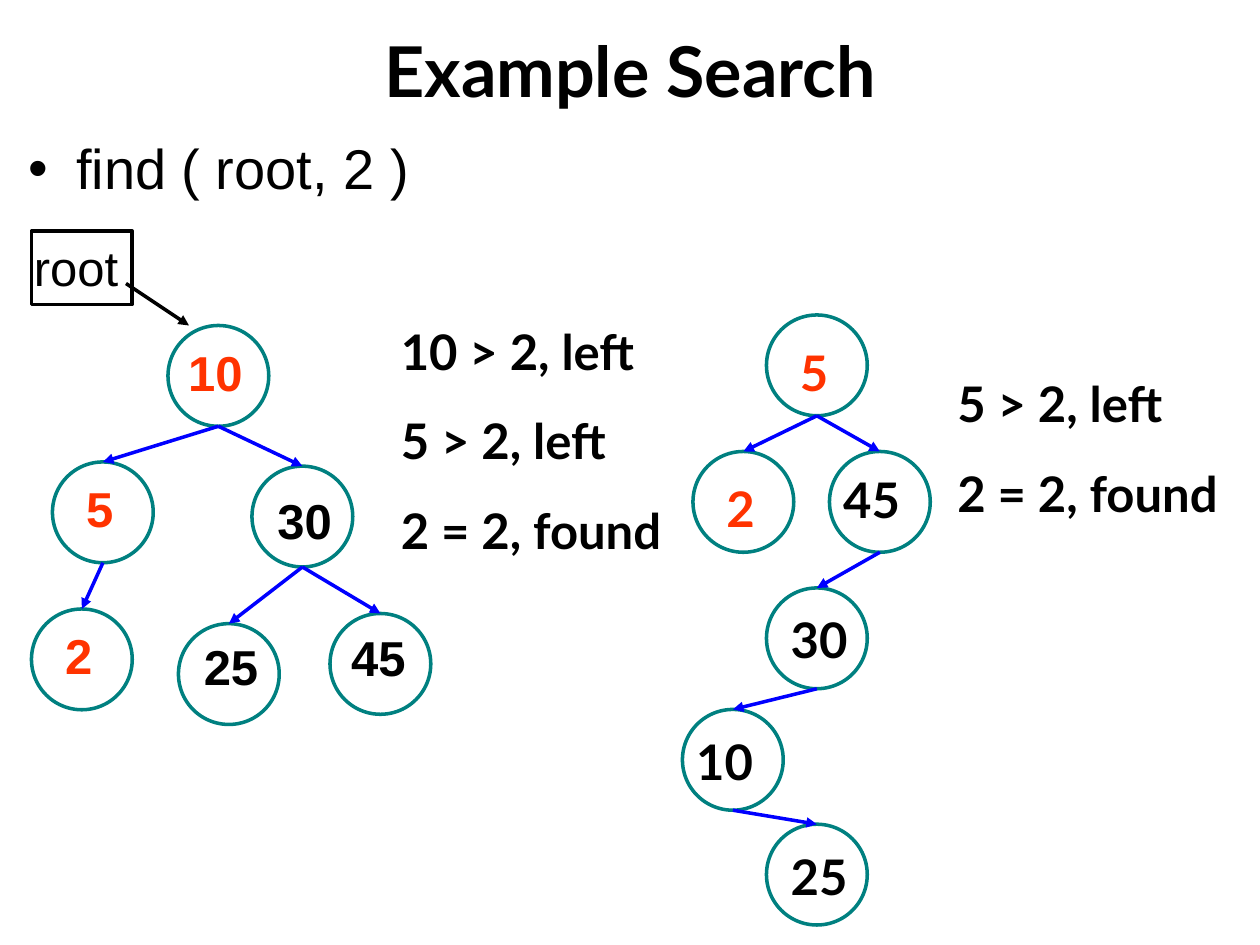
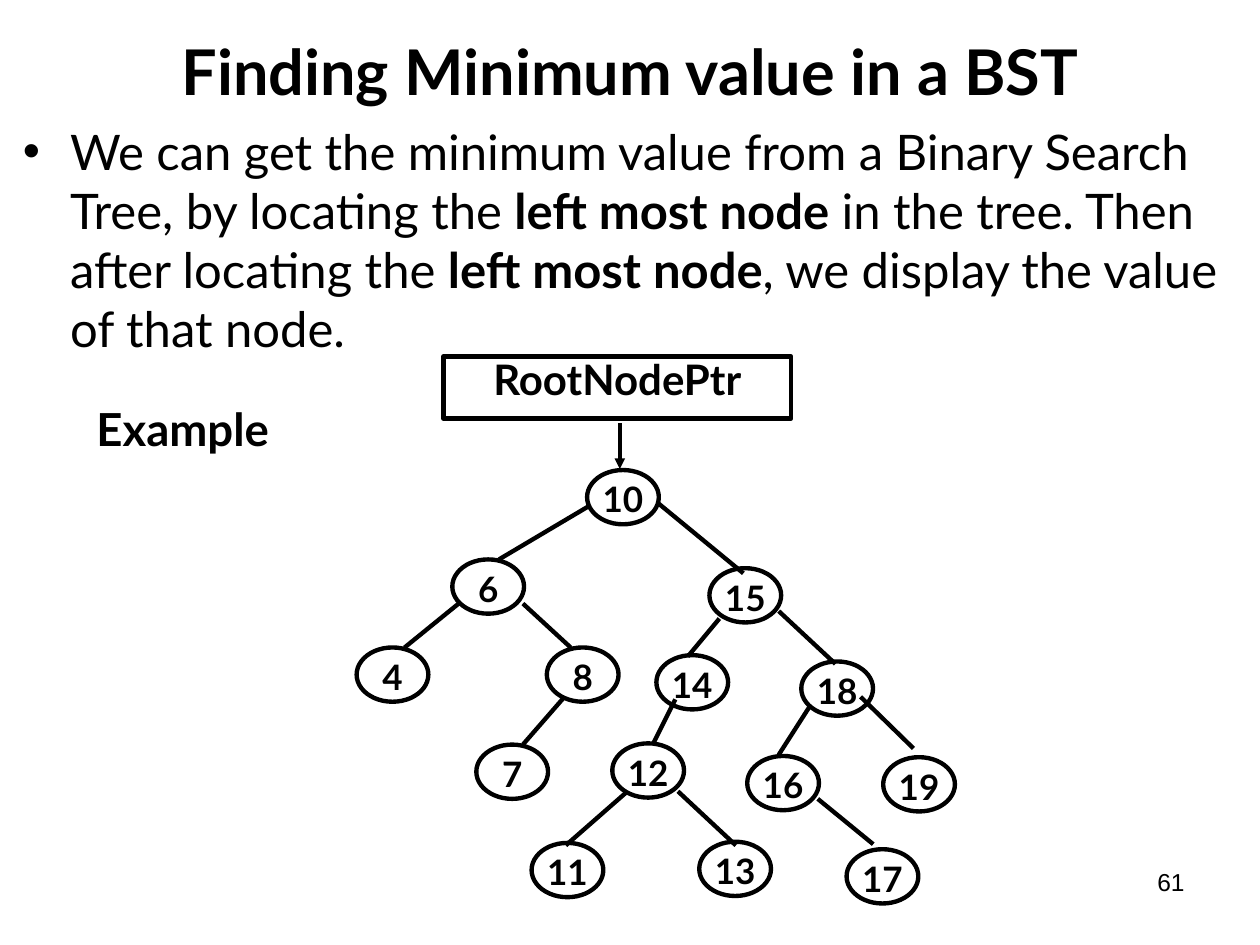
from lxml.etree import SubElement
from pptx import Presentation
from pptx.dml.color import RGBColor
from pptx.enum.shapes import MSO_CONNECTOR as Link, MSO_SHAPE as Shape
from pptx.enum.text import MSO_ANCHOR as Anchor, PP_ALIGN as Align
from pptx.oxml.ns import qn
from pptx.util import Pt

BLACK, TEAL, BLUE, ORANGE = "000000", "008080", "0000FF", "FF3300"
HEADING, PLAIN = "Lato", "Arial"
CIRCLE = 57.6
OVAL = (41, 31)

LEFT_TREE = {
    "10": ((96, 186), (99, 192)),
    "5": ((30, 264), (42, 270)),
    "30": ((144, 266.4), (150, 276.5)),
    "2": ((18, 348), (30, 354)),
    "25": ((102, 356.4), (108, 360)),
    "45": ((188.6, 350.6), (192.2, 355)),
}
LEFT_LINKS = [("10", "5"), ("10", "30"), ("5", "2"), ("30", "25"), ("30", "45")]
RIGHT_TREE = {
    "5": ((438, 180), (450, 192)),
    "2": ((396, 258), (408, 270)),
    "45": ((474, 258), (474, 265)),
    "30": ((438, 336), (444, 345)),
    "10": ((390, 405.4), (390, 414.7)),
    "25": ((438, 471), (444, 480)),
}
RIGHT_LINKS = [("5", "2"), ("5", "45"), ("45", "30"), ("30", "10"), ("10", "25")]

MINIMUM_NODES = {
    "10": (335.5, 268.6), "6": (258.5, 319.7), "15": (405.4, 324.7),
    "4": (203.8, 370), "8": (312.5, 370), "14": (375.1, 374.4),
    "18": (457.9, 378), "7": (272.2, 425.5), "12": (349.9, 424.8),
    "16": (427, 432), "19": (504.7, 432.7), "11": (303.8, 481.7),
    "13": (399.6, 481), "17": (483.8, 485.3),
}
MINIMUM_BRANCHES = [
    ((336.2, 289.4), (285.1, 319.7)), ((375.8, 287.3), (424.8, 327.6)),
    ((262.1, 344.9), (231.1, 370.1)), ((298.8, 344.9), (326.2, 370.1)),
    ((411.1, 353.5), (393.1, 375.1)), ((445, 349.2), (477.4, 379.4)),
    ((322.6, 398.2), (298.8, 425.5)), ((385.9, 399.6), (373, 425.5)),
    ((463, 403.2), (445, 431.3)), ((491.8, 398.2), (522, 427.7)),
    ((358.6, 452.2), (323.3, 483.1)), ((387.4, 452.2), (420.5, 483.1)),
    ((467.3, 456.5), (499, 482.4)),
]


def color(value):
    """Turn a hex string into a colour."""
    return RGBColor.from_string(value)


class Painter:
    """Hold the shared style and the current slide."""

    def __init__(self):
        """Open an empty 4:3 deck."""
        self.deck = Presentation()
        self.deck.slide_width, self.deck.slide_height = Pt(720), Pt(540)
        self.page = None

    def new_page(self, title, size):
        """Start a slide with its centred title."""
        self.page = self.deck.slides.add_slide(self.deck.slide_layouts[6])
        box = self.text((24, 12, 672, 56), title, size, bold=True, align=Align.CENTER)
        box.text_frame.vertical_anchor = Anchor.MIDDLE

    def style(self, para, size, font=HEADING, ink=BLACK, bold=False, align=Align.LEFT):
        """Format a paragraph and its runs."""
        para.alignment = align
        for span in para.runs:
            span.font.size, span.font.name, span.font.bold = Pt(size), font, bold
            span.font.color.rgb = color(ink)

    def text(self, place, words, size, gap=0, wrap=True, **look):
        """Add a text box with one paragraph per line."""
        box = self.page.shapes.add_textbox(*map(Pt, place))
        frame = box.text_frame
        frame.text, frame.word_wrap = words, wrap
        for index, para in enumerate(frame.paragraphs):
            self.style(para, size, **look)
            if index:
                para.space_before = Pt(gap)
        return box

    def bullet(self, place, spans, size, font):
        """Add a bulleted paragraph in which every second span is bold."""
        box = self.text(place, "", size)
        para = box.text_frame.paragraphs[0]
        properties = para._p.get_or_add_pPr()
        properties.set("marL", str(Pt(27)))
        properties.set("indent", str(-Pt(27)))
        SubElement(properties, qn("a:buFont")).set("typeface", PLAIN)
        SubElement(properties, qn("a:buChar")).set("char", "•")
        for words in spans:
            para.add_run().text = words
        self.style(para, size, font)
        for span in para.runs[1::2]:
            span.font.bold = True

    def outline(self, kind, place, ink=BLACK, width=2.0):
        """Add an unfilled preset shape."""
        shape = self.page.shapes.add_shape(kind, *map(Pt, place))
        shape.shadow.inherit = False
        shape.fill.background()
        shape.line.color.rgb, shape.line.width = color(ink), Pt(width)
        return shape

    def label(self, shape, words, size, inset=(0, 0), wrap=True, **look):
        """Write inside a shape, from its top."""
        frame = shape.text_frame
        frame.text, frame.word_wrap, frame.vertical_anchor = words, wrap, Anchor.TOP
        frame.margin_left = frame.margin_right = Pt(inset[0])
        frame.margin_top = frame.margin_bottom = Pt(inset[1])
        self.style(frame.paragraphs[0], size, **look)

    def line(self, start, end, ink=BLACK, width=2.0, arrow=True, target=None):
        """Draw a straight line, joined to the top of a target if given."""
        link = self.page.shapes.add_connector(Link.STRAIGHT, *map(Pt, start + end))
        if target is not None:
            link.end_connect(target, 0)
        link.line.color.rgb, link.line.width = color(ink), Pt(width)
        if arrow:
            SubElement(link.line._get_or_add_ln(), qn("a:tailEnd")).set("type", "triangle")
        SubElement(link._element.spPr, qn("a:effectLst"))

    def search_tree(self, nodes, links, visited, font):
        """Draw a tree of circles with the visited keys highlighted."""
        circles = {}
        for key, (corner, label_corner) in nodes.items():
            circles[key] = self.outline(Shape.OVAL, corner + (CIRCLE, CIRCLE), TEAL)
            self.text(label_corner + (30 if len(key) == 1 else 48, 41), key, 28,
                      wrap=False, font=font, bold=True, align=Align.CENTER,
                      ink=ORANGE if key in visited else BLACK)
        for parent, child in links:
            (x, y), (child_x, child_y) = nodes[parent][0], nodes[child][0]
            self.line((x + CIRCLE / 2, y + CIRCLE), (child_x + CIRCLE / 2, child_y),
                      BLUE, target=circles[child])


def example_search(painter):
    """Show the same search in two trees."""
    painter.new_page("Example Search", 40)
    painter.bullet((9.4, 73, 698, 60), ["find ( root, 2 )"], 32, PLAIN)
    painter.search_tree(LEFT_TREE, LEFT_LINKS, {"10", "5", "2"}, PLAIN)
    painter.search_tree(RIGHT_TREE, RIGHT_LINKS, {"5", "2"}, HEADING)
    painter.text((222, 180, 180, 143), "10 > 2, left\n5 > 2, left\n2 = 2, found",
                 28, gap=17.5, bold=True)
    painter.text((540, 210, 180, 92), "5 > 2, left\n2 = 2, found",
                 28, gap=17.5, bold=True)
    root = painter.outline(Shape.RECTANGLE, (18, 132, CIRCLE, 42))
    painter.label(root, "root", 28, (1.4, 3.6), wrap=False, font=PLAIN)
    painter.line((72, 162), (108, 186))


def minimum_value(painter):
    """Show where the smallest key of a tree lies."""
    painter.new_page("Finding Minimum value in a BST", 36)
    painter.bullet((6, 66, 702, 150), [
        "We can get the minimum value from a Binary Search Tree, by locating the ",
        "left most node", " in the tree. Then after locating the ",
        "left most node", ", we display the value of that node."], 28, HEADING)
    pointer = painter.outline(Shape.RECTANGLE, (253.4, 203.8, 198.7, 35.3), width=2.5)
    painter.label(pointer, "RootNodePtr", 24, (7.2, 3.6), bold=True, align=Align.CENTER)
    pointer.text_frame.paragraphs[0].line_spacing = 0.8
    painter.line((354.2, 242), (354.2, 268))
    for key, corner in MINIMUM_NODES.items():
        node = painter.outline(Shape.OVAL, corner + OVAL, width=2.5)
        painter.label(node, key, 20, wrap=False, bold=True, align=Align.CENTER)
    for start, end in MINIMUM_BRANCHES:
        painter.line(start, end, width=2.5, arrow=False)
    painter.text((48, 225.4, 126, 39), "Example", 26, bold=True)
    painter.text((516, 492, 168, 37), "61", 14, font=PLAIN, align=Align.RIGHT)


def main():
    """Build both slides and save the deck."""
    painter = Painter()
    example_search(painter)
    minimum_value(painter)
    painter.deck.save("out.pptx")


if __name__ == "__main__":
    main()
